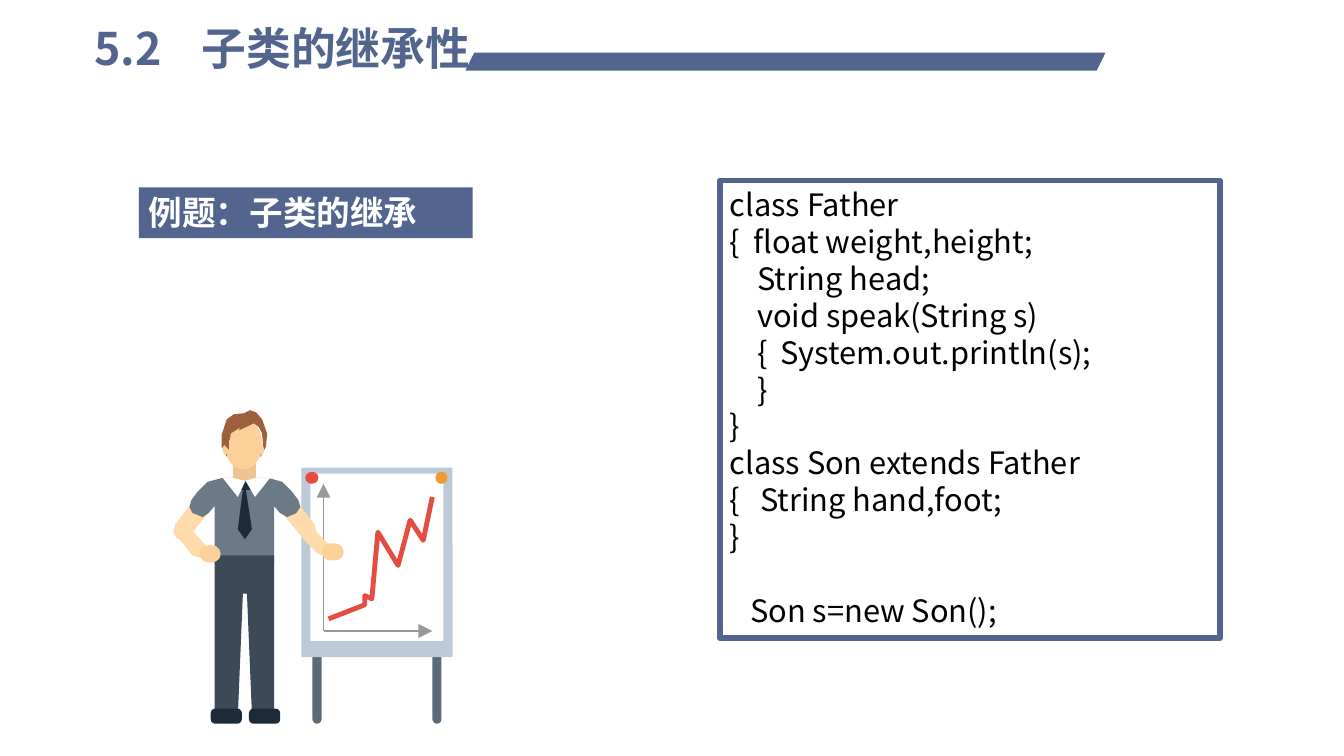
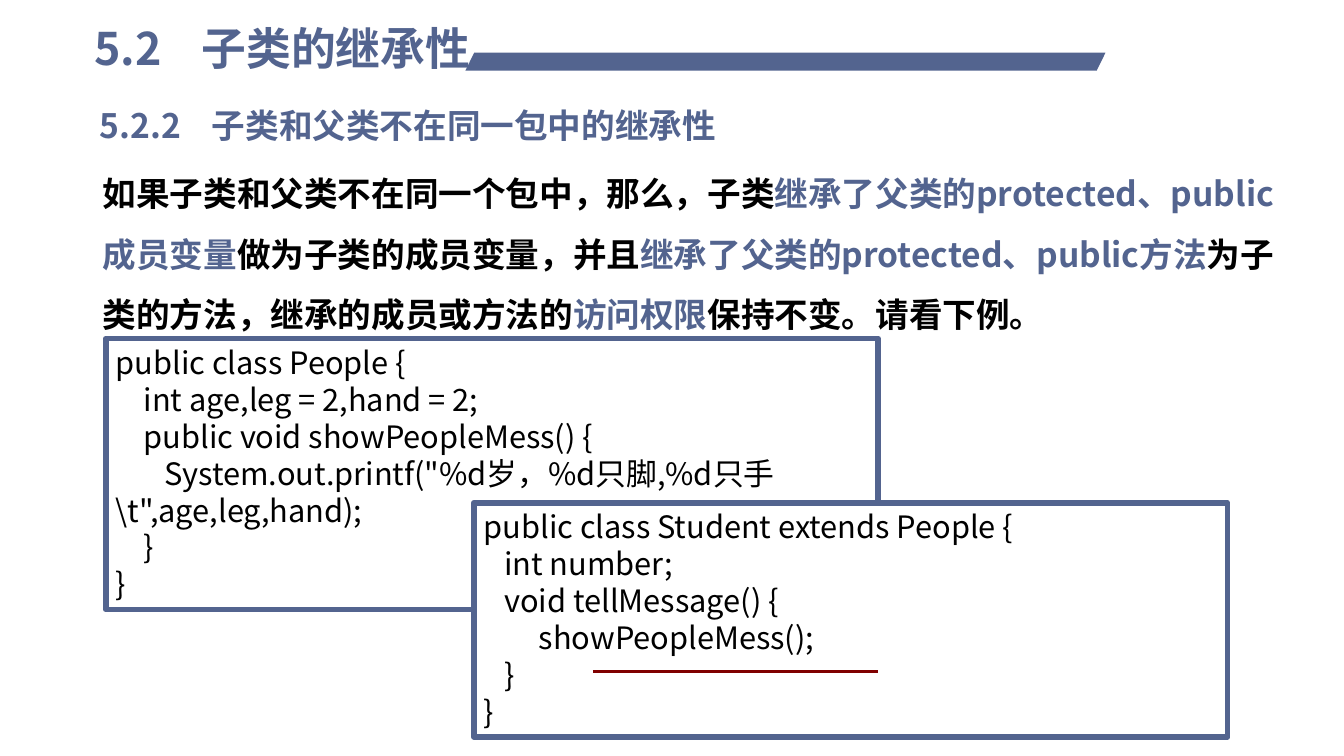
from lxml import etree
from pptx import Presentation, util as u
from pptx.dml.color import RGBColor
from pptx.enum import shapes, text
from pptx.oxml.ns import qn

FONT = "Noto Sans CJK SC"
LINE_HEIGHT = 1.2
GRID = u.Cm(2.54) / 100  # drawing unit of the presenter figure

BLUE = RGBColor(0x53, 0x64, 0x8F)
BLACK = RGBColor(0x00, 0x00, 0x00)
WHITE = RGBColor(0xFF, 0xFF, 0xFF)
DARK_RED = RGBColor(0x80, 0x00, 0x00)
RED = RGBColor(0xE5, 0x4D, 0x42)
ORANGE = RGBColor(0xF1, 0x9B, 0x2C)
GREY = RGBColor(0x99, 0x99, 0x99)
LEG_GREY = RGBColor(0x5C, 0x6A, 0x78)
FRAME = RGBColor(0xBC, 0xCA, 0xD8)
SKIN = RGBColor(0xFB, 0xD0, 0x99)
ARM = RGBColor(0xFF, 0xDA, 0xAB)
NECK = RGBColor(0xED, 0xC4, 0x90)
SHIRT = RGBColor(0x6C, 0x7A, 0x88)
TROUSERS = RGBColor(0x3C, 0x4A, 0x58)
NAVY = RGBColor(0x1D, 0x2A, 0x38)
HAIR = RGBColor(0x9C, 0x60, 0x3E)

RECT = shapes.MSO_SHAPE.RECTANGLE
ROUND = shapes.MSO_SHAPE.ROUNDED_RECTANGLE
OVAL = shapes.MSO_SHAPE.OVAL

# Code lines: text, then the tab stops in cm that its tabs use
FATHER_CODE = [
    ("class Father",),
    ("{\tfloat weight,height;", 0.6),
    ("\tString head;", 0.7),
    ("\tvoid speak(String s)", 0.7),
    ("\t{\tSystem.out.println(s);", 0.7, 1.27),
    ("\t}", 0.7),
    ("}",),
    ("class Son extends Father",),
    ("{\tString hand,foot;", 0.77),
    ("}",),
    ("\tSon s=new Son();", 0.52),
]
PEOPLE_CODE = [
    ("public class People {",),
    ("\tint age,leg = 2,hand = 2;", 0.7),
    ("\tpublic void showPeopleMess() {", 0.7),
    ("\tSystem.out.printf(\"%d岁，%d只脚,%d只手\\t\",age,leg,hand);", 1.22),
    ("\t}", 0.7),
    ("}",),
]
STUDENT_CODE = [
    ("public class Student extends People {",),
    ("\tint number;", 0.52),
    ("\tvoid tellMessage() {", 0.52),
    ("\tshowPeopleMess();", 1.39),
    ("\t}", 0.52),
    ("}",),
]
INHERITANCE_RULE = [
    ("如果子类和父类不在同一个包中，那么，子类", BLACK),
    ("继承了父类的protected、public成员变量", BLUE),
    ("做为子类的成员变量，并且", BLACK),
    ("继承了父类的protected、public方法", BLUE),
    ("为子类的方法，继承的成员或方法的", BLACK),
    ("访问权限", BLUE),
    ("保持不变。请看下例。", BLACK),
]

# Figure parts in GRID units: preset, colour, left, top, width, height, corner
BOARD = [
    (ROUND, LEG_GREY, 310, 616, 9, 102, 0.5),
    (ROUND, LEG_GREY, 429, 616, 9, 102, 0.5),
    (ROUND, FRAME, 299, 464, 150, 188, 0.01),
    (RECT, WHITE, 308, 470, 132, 166),
    (OVAL, RED, 303, 468, 13, 12),
    (OVAL, ORANGE, 432, 468, 12, 12),
]
TREND = [(326, 614), (362, 600), (362, 591), (369, 594), (375, 528),
         (395, 561), (407, 516), (420, 536), (429, 493)]
# Outlines: colour, then corner points
UPPER_BODY = [
    (ARM, (298, 531), (304, 536), (310, 534), (314, 528), (312, 520),
     (287, 488), (281, 485), (274, 487), (270, 493), (272, 499)),
    (ARM, (188, 532), (182, 536), (175, 534), (172, 528), (174, 520),
     (199, 488), (205, 485), (212, 487), (215, 493), (213, 501)),
    (SHIRT, (296, 496), (290, 488), (280, 478), (266, 474), (221, 474),
     (206, 478), (196, 488), (190, 496), (188, 503), (191, 509), (194, 510),
     (201, 513), (207, 509), (213, 502), (213, 559), (272, 559), (272, 502),
     (278, 509), (285, 513), (292, 510), (294, 509), (298, 503)),
    (ARM, (325, 539), (328, 545), (324, 550), (319, 551), (314, 548),
     (299, 533), (298, 527), (301, 522), (306, 520), (310, 523)),
    (ARM, (204, 541), (206, 547), (202, 552), (197, 553), (191, 551),
     (178, 535), (175, 529), (178, 524), (184, 521), (189, 524)),
    (TROUSERS, (213, 551), (272, 551), (272, 710), (250, 710), (245, 589),
     (241, 589), (236, 710), (213, 710)),
]
HANDS_AND_SHOES = [
    (ROUND, SKIN, 198, 541, 21, 17, 0.5),
    (ROUND, SKIN, 319, 539, 22, 17, 0.5),
    (ROUND, NAVY, 209, 703, 31, 15, 0.3),
    (ROUND, NAVY, 247, 703, 31, 15, 0.3),
    (ROUND, NAVY, 237, 477, 12, 9, 0.15),
]
TIE_AND_COLLAR = [
    (NAVY, (241, 486), (236, 525), (243, 535), (250, 525), (244, 486)),
    (WHITE, (245, 474), (236, 493), (221, 474)),
    (WHITE, (242, 474), (253, 493), (268, 474)),
    (NECK, (231, 474), (231, 457), (234, 454), (250, 454), (254, 457),
     (254, 474), (243, 477)),
]
FACE = [
    (OVAL, SKIN, 223, 415, 37, 51),
]
HAIR_PARTS = [
    (HAIR, (252, 420), (240, 423), (229, 430), (225, 437), (226, 445),
     (225, 453), (220, 443), (220, 431), (225, 416), (232, 411), (242, 410),
     (248, 407), (254, 409), (260, 416), (265, 430), (264, 443), (258, 454),
     (261, 440), (260, 430), (257, 424)),
    (HAIR, (227, 432), (222, 441), (227, 446)),
    (HAIR, (229, 430), (228, 437), (226, 432)),
    (HAIR, (252, 420), (237, 427), (239, 422)),
]
EARS = [
    (OVAL, SKIN, 221, 441, 6, 10),
    (OVAL, SKIN, 256, 441, 6, 10),
]


def paint(sp, fill=None, line=None, width=0):
    sp.shadow.inherit = False
    if fill is None:
        sp.fill.background()
    else:
        sp.fill.solid()
        sp.fill.fore_color.rgb = fill
    if line is None:
        sp.line.fill.background()
    else:
        sp.line.color.rgb = line
        sp.line.width = u.Pt(width)
    return sp


def add_box(parent, preset, box, fill, **line):
    sp = parent.shapes.add_shape(preset, *[u.Cm(v) for v in box])
    return paint(sp, fill, **line)


def add_line(parent, start, end, color, width, arrow=False):
    """Draw a straight line between two points given in EMU."""
    line = parent.shapes.add_connector(
        shapes.MSO_CONNECTOR.STRAIGHT, *[int(v) for v in (*start, *end)])
    line.line.color.rgb = color
    line.line.width = u.Pt(width)
    if arrow:
        etree.SubElement(line.line._get_or_add_ln(), qn("a:tailEnd"),
                         type="triangle", w="lg", len="lg")
    etree.SubElement(line._element.spPr, qn("a:effectLst"))


def add_paragraph(tf, runs, size, bold=False, stops=(), spacing=LINE_HEIGHT):
    """Fill the first paragraph if it is empty, otherwise append one."""
    p = tf.paragraphs[0]
    if p.runs:
        p = tf.add_paragraph()
    p.alignment = text.PP_ALIGN.LEFT
    p.line_spacing = u.Pt(size * spacing)
    for words, color in runs:
        r = p.add_run()
        r.text = words
        r.font.name = FONT
        r.font.size = u.Pt(size)
        r.font.bold = bold
        r.font.color.rgb = color
        etree.SubElement(r.font._element, qn("a:ea"), typeface=FONT)
    if stops:
        tabs = etree.SubElement(p._p.get_or_add_pPr(), qn("a:tabLst"))
        for stop in stops:
            etree.SubElement(tabs, qn("a:tab"), pos=str(u.Cm(stop)), algn="l")
    return p


def set_frame(sp):
    tf = sp.text_frame
    tf.word_wrap = True
    tf.vertical_anchor = text.MSO_ANCHOR.TOP
    return tf


def add_text(slide, box, runs, size, **style):
    sp = slide.shapes.add_textbox(*[u.Cm(v) for v in box])
    add_paragraph(set_frame(sp), runs, size, bold=True, **style)
    return sp


def add_code(slide, box, lines):
    sp = add_box(slide, RECT, box, WHITE, line=BLUE, width=4)
    tf = set_frame(sp)
    for words, *stops in lines:
        add_paragraph(tf, [(words, BLACK)], 22, stops=stops)
    return tf


def add_header(slide):
    add_text(slide, (2.13, 0.4, 12.8, 1.62),
             [("5.2\t子类的继承性", BLUE)], 32, stops=[2.7])
    bar = add_box(slide, shapes.MSO_SHAPE.PARALLELOGRAM,
                  (11.73, 1.33, 16.13, 0.45), BLUE)
    bar.adjustments[0] = 0.49


def draw_presets(group, parts):
    for preset, color, *box in parts:
        sp = group.shapes.add_shape(preset, *[int(v * GRID) for v in box[:4]])
        if preset == ROUND:
            sp.adjustments[0] = box[4]
        paint(sp, color)


def draw_outline(group, points, closed=True):
    start, *rest = points
    builder = group.shapes.build_freeform(*start, scale=GRID)
    builder.add_line_segments(rest, close=closed)
    return builder.convert_to_shape()


def draw_outlines(group, parts):
    for color, *points in parts:
        paint(draw_outline(group, points), color)


def add_presenter(slide):
    group = slide.shapes.add_group_shape()
    draw_presets(group, BOARD)
    origin = (321 * GRID, 626 * GRID)
    for end in ((321, 480), (429, 626)):
        add_line(group, origin, [v * GRID for v in end], GREY, 0.75, arrow=True)
    paint(draw_outline(group, TREND, closed=False), line=RED, width=3.5)
    draw_outlines(group, UPPER_BODY)
    draw_presets(group, HANDS_AND_SHOES)
    draw_outlines(group, TIE_AND_COLLAR)
    draw_presets(group, FACE)
    draw_outlines(group, HAIR_PARTS[:1])
    draw_presets(group, EARS)
    draw_outlines(group, HAIR_PARTS[1:])


def build_example(slide):
    add_header(slide)
    tf = add_code(slide, (18.14, 4.55, 12.6, 11.53), FATHER_CODE)
    tf.paragraphs[-1].space_before = u.Pt(22 * LINE_HEIGHT)
    label = add_box(slide, RECT, (3.5, 4.72, 8.41, 1.28), BLUE)
    add_paragraph(set_frame(label), [("例题：子类的继承", WHITE)], 24, bold=True)
    add_presenter(slide)


def build_packages(slide):
    add_header(slide)
    add_text(slide, (2.26, 2.51, 16.66, 1.27),
             [("5.2.2\t子类和父类不在同一包中的继承性", BLUE)], 24, stops=[2.83])
    add_text(slide, (2.34, 3.73, 30.58, 4.4), INHERITANCE_RULE, 24, spacing=1.8)
    add_code(slide, (2.67, 8.53, 19.46, 6.83), PEOPLE_CODE)
    add_code(slide, (11.94, 12.67, 19, 5.9), STUDENT_CODE)
    add_line(slide, (u.Cm(14.94), u.Cm(16.92)), (u.Cm(22.12), u.Cm(16.92)),
             DARK_RED, 2)


def main():
    prs = Presentation()
    prs.slide_width, prs.slide_height = u.Cm(33.87), u.Cm(19.05)
    for build in (build_example, build_packages):
        build(prs.slides.add_slide(prs.slide_layouts[6]))
    prs.save("out.pptx")


if __name__ == "__main__":
    main()
